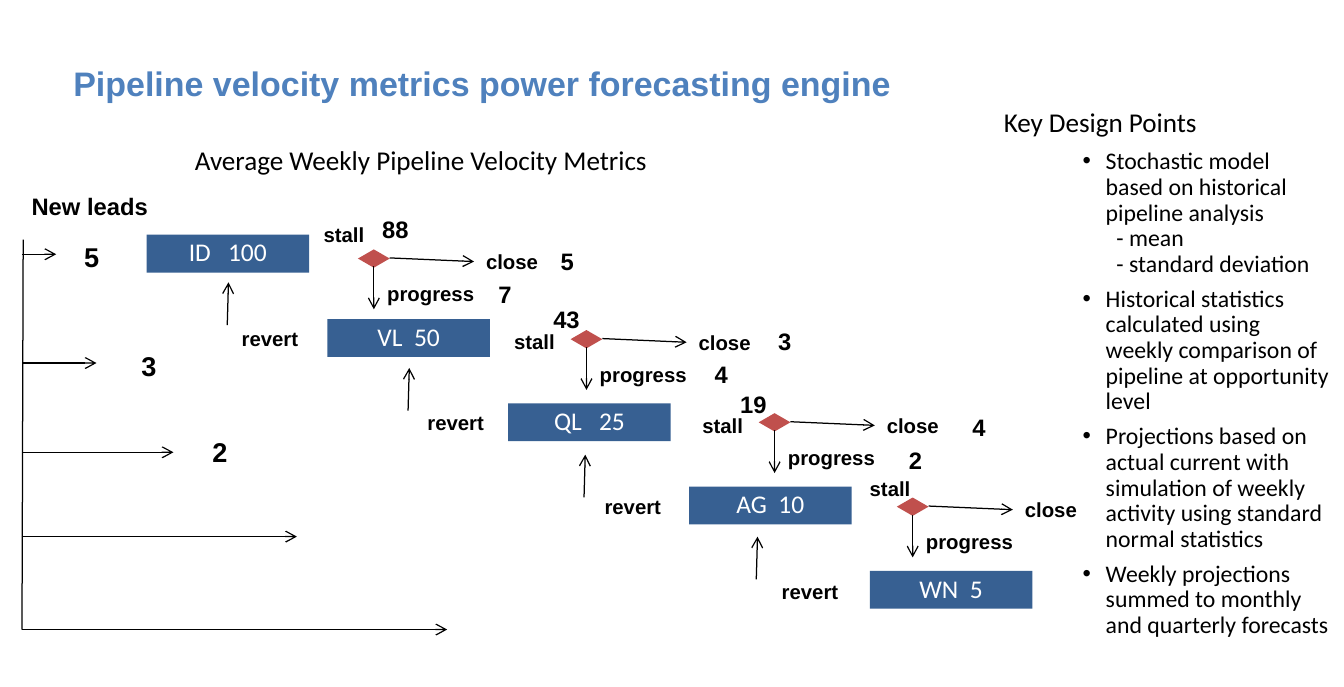
"""Build the pipeline velocity metrics slide."""
from copy import deepcopy
from dataclasses import dataclass
from typing import NamedTuple

from lxml import etree
from pptx import Presentation
from pptx.dml.color import RGBColor
from pptx.enum.shapes import MSO_CONNECTOR, MSO_SHAPE
from pptx.enum.text import MSO_ANCHOR, MSO_AUTO_SIZE, PP_ALIGN
from pptx.oxml.ns import qn
from pptx.util import Inches, Pt

LEFT, CENTER = PP_ALIGN.LEFT, PP_ALIGN.CENTER
TOP, MIDDLE = MSO_ANCHOR.TOP, MSO_ANCHOR.MIDDLE
FIXED = MSO_AUTO_SIZE.NONE
STRAIGHT = MSO_CONNECTOR.STRAIGHT
RECTANGLE, DECISION = MSO_SHAPE.RECTANGLE, MSO_SHAPE.FLOWCHART_DECISION

CELL = 0.1
COLUMNS, ROWS = 110, 56.2


@dataclass(frozen=True)
class Theme:
    """Colours, faces and type sizes of the slide."""
    title: str = "4F81BD"
    stage: str = "376092"
    gate: str = "C0504D"
    ink: str = "000000"
    paper: str = "FFFFFF"
    label_face: str = "Arial"
    body_face: str = "Calibri"
    title_size: int = 20
    heading_size: int = 16
    stage_size: int = 15
    body_size: int = 14
    label_size: int = 12
    line_width: float = 0.75
    spacing: float = 0.9
    bullet_gap: float = 5.3


class Count(NamedTuple):
    """A weekly figure and its grid place."""
    value: str
    col: float
    row: float
    width: float = 2.6


class Gate(NamedTuple):
    """A decision after a stage, with its stall label and figures."""
    col: float
    row: float
    stall: tuple
    counts: tuple


THEME = Theme()
STAGES = ("ID   100", "VL  50", "QL   25", "AG  10", "WN  5")
GATES = (
    Gate(29.3, 20.4, (25.5, 17.7),
         (Count("88", 30.3, 17.1, 5), Count("5", 44.9, 19.7), Count("7", 39.8, 22.4))),
    Gate(46.7, 27, (41.1, 26.4),
         (Count("43", 44.3, 24.4, 4.9), Count("3", 62.7, 26.2), Count("4", 57.5, 28.9, 4.8))),
    Gate(62.1, 33.8, (56.5, 33.3),
         (Count("19", 59.6, 31.4, 4.9), Count("4", 78.6, 33.3), Count("2", 73.4, 36, 4.7))),
    Gate(73.4, 40.7, (70.2, 38.5), ()),
)
REVERTS = (
    ((18.6, 26.6), (18.8, 26.2)),
    ((33.4, 33.6), (34, 33.1)),
    ((47.8, 40.7), (48.5, 39.9)),
    ((61.9, 47.4), (63, 46.9)),
)
LEAD_ARROWS = ((4.6, 20.8), (7.9, 29.7), (14.2, 37), (24.3, 43.9), (36.6, 51.5))
LEAD_COUNTS = (Count("5", 5.9, 19.2), Count("3", 10.6, 28.1), Count("2", 16.4, 35.1))
DESIGN_POINTS = (
    "Stochastic model based on historical pipeline analysis\n  - mean\n  - standard deviation",
    "Historical statistics calculated using weekly comparison of pipeline at opportunity level",
    "Projections based on actual current with simulation of weekly activity using standard "
    "normal statistics",
    "Weekly projections summed to monthly and quarterly forecasts",
)


def cells(*counts):
    """Turn grid cells into slide lengths."""
    return [Inches(round(count * CELL, 2)) for count in counts]


def move(holder, *box):
    """Put a placeholder on the grid."""
    holder.left, holder.top, holder.width, holder.height = cells(*box)


def style(paragraph, face, size, color, bold=False, align=LEFT, spacing=None):
    """Format one paragraph and its runs."""
    paragraph.alignment = align
    if spacing:
        paragraph.line_spacing = spacing
    for run in paragraph.runs:
        run.font.name, run.font.size, run.font.bold = face, Pt(size), bold
        run.font.color.rgb = RGBColor.from_string(color)


def add_label(slide, text, box, size=THEME.label_size, wrap=False):
    """Add a bold flow label."""
    frame = slide.shapes.add_textbox(*cells(*box)).text_frame
    frame.text, frame.word_wrap = text, wrap
    style(frame.paragraphs[0], THEME.label_face, size, THEME.ink, bold=True)


def add_heading(slide, text, box):
    """Add a centred section heading."""
    frame = slide.shapes.add_textbox(*cells(*box)).text_frame
    frame.text, frame.word_wrap = text, True
    style(frame.paragraphs[0], THEME.body_face, THEME.heading_size, THEME.ink,
          align=CENTER, spacing=THEME.spacing)


def add_block(slide, preset, box, color):
    """Add a flat filled shape without outline."""
    block = slide.shapes.add_shape(preset, *cells(*box))
    block.shadow.inherit = False
    block.fill.solid()
    block.fill.fore_color.rgb = RGBColor.from_string(color)
    block.line.fill.background()
    return block


def add_line(slide, start, end, arrow=True):
    """Add a thin line, with an open arrowhead at its end if asked."""
    connector = slide.shapes.add_connector(STRAIGHT, *cells(*start, *end))
    connector.line.color.rgb = RGBColor.from_string(THEME.ink)
    connector.line.width = Pt(THEME.line_width)
    properties = connector._element.spPr
    if arrow:
        etree.SubElement(properties.find(qn("a:ln")), qn("a:tailEnd"), type="arrow")
    etree.SubElement(properties, qn("a:effectLst"))


def add_stage(slide, index, text):
    """Add one step of the descending stage staircase."""
    stage = add_block(slide, RECTANGLE, (12 + 14.8 * index, 19.2 + 6.88 * index, 13.3, 3.1),
                      THEME.stage)
    frame = stage.text_frame
    frame.text, frame.word_wrap, frame.vertical_anchor = text, False, MIDDLE
    frame.margin_left = frame.margin_top = frame.margin_right = frame.margin_bottom = 0
    style(frame.paragraphs[0], THEME.body_face, THEME.stage_size, THEME.paper,
          align=CENTER, spacing=THEME.spacing)


def add_gate(slide, gate):
    """Add a decision with its exits, labels and figures."""
    col, row = gate.col, gate.row
    add_block(slide, DECISION, (col, row, 2.6, 1.5), THEME.gate)
    add_line(slide, (col + 1.3, row + 1.4), (col + 1.3, row + 4.9))
    add_line(slide, (col + 2.6, row + 0.7), (col + 9.5, row + 1))
    add_label(slide, "progress", (col + 1.4, row + 2.1, 9.2, 3))
    add_label(slide, "close", (col + 9.5, row - 0.5, 6.3, 3))
    add_label(slide, "stall", (*gate.stall, 5.4, 3))
    for count in gate.counts:
        add_label(slide, count.value, (count.col, count.row, count.width, 3.4),
                  THEME.body_size, wrap=True)


def add_leads(slide):
    """Add the new leads axis with its arrows and figures."""
    add_label(slide, "New leads", (1.6, 15.2, 11.6, 3.4), THEME.body_size)
    add_line(slide, (1.9, 19.6), (1.8, 51.5), arrow=False)
    for end, row in LEAD_ARROWS:
        add_line(slide, (1.8, row), (end, row))
    for count in LEAD_COUNTS:
        add_label(slide, count.value, (count.col, count.row, 3.3, 3.7), THEME.heading_size)


def fill_title(title):
    """Write the slide title."""
    move(title, 5, 5, 99.5, 3.1)
    frame = title.text_frame
    frame.text = "Pipeline velocity metrics power forecasting engine"
    frame.auto_size, frame.vertical_anchor = FIXED, TOP
    style(frame.paragraphs[0], THEME.label_face, THEME.title_size, THEME.title,
          bold=True, spacing=THEME.spacing)


def fill_points(body):
    """Write the bulleted design points."""
    move(body, 87.6, 11.7, 22.4, 44.5)
    frame = body.text_frame
    frame.auto_size, frame.vertical_anchor = FIXED, TOP
    for index, point in enumerate(DESIGN_POINTS):
        paragraph = frame.add_paragraph() if index else frame.paragraphs[0]
        paragraph.text = point
        paragraph.space_before = Pt(THEME.bullet_gap if index else 0)
        style(paragraph, THEME.body_face, THEME.body_size, THEME.ink, spacing=THEME.spacing)
        indent = cells(1.9)[0]
        properties = paragraph._p.get_or_add_pPr()
        properties.set("marL", str(indent))
        properties.set("indent", str(-indent))
        for line_break in paragraph._p.findall(qn("a:br")):
            line_break.append(deepcopy(paragraph.runs[0].font._element))


def main():
    """Build and save the slide."""
    deck = Presentation()
    deck.slide_width, deck.slide_height = cells(COLUMNS, ROWS)
    slide = deck.slides.add_slide(deck.slide_layouts[1])
    fill_title(slide.shapes.title)
    fill_points(slide.placeholders[1])
    add_heading(slide, "Key Design Points", (74.9, 8.4, 30.3, 3.5))
    add_heading(slide, "Average Weekly Pipeline Velocity Metrics", (7.5, 11.5, 53.9, 3.5))
    for index, text in enumerate(STAGES):
        add_stage(slide, index, text)
    for gate in GATES:
        add_gate(slide, gate)
    for (col, row), label in REVERTS:
        add_line(slide, (col, row), (col + 0.1, row - 3.5))
        add_label(slide, "revert", (*label, 6.7, 3))
    add_leads(slide)
    deck.save("out.pptx")


if __name__ == "__main__":
    main()
